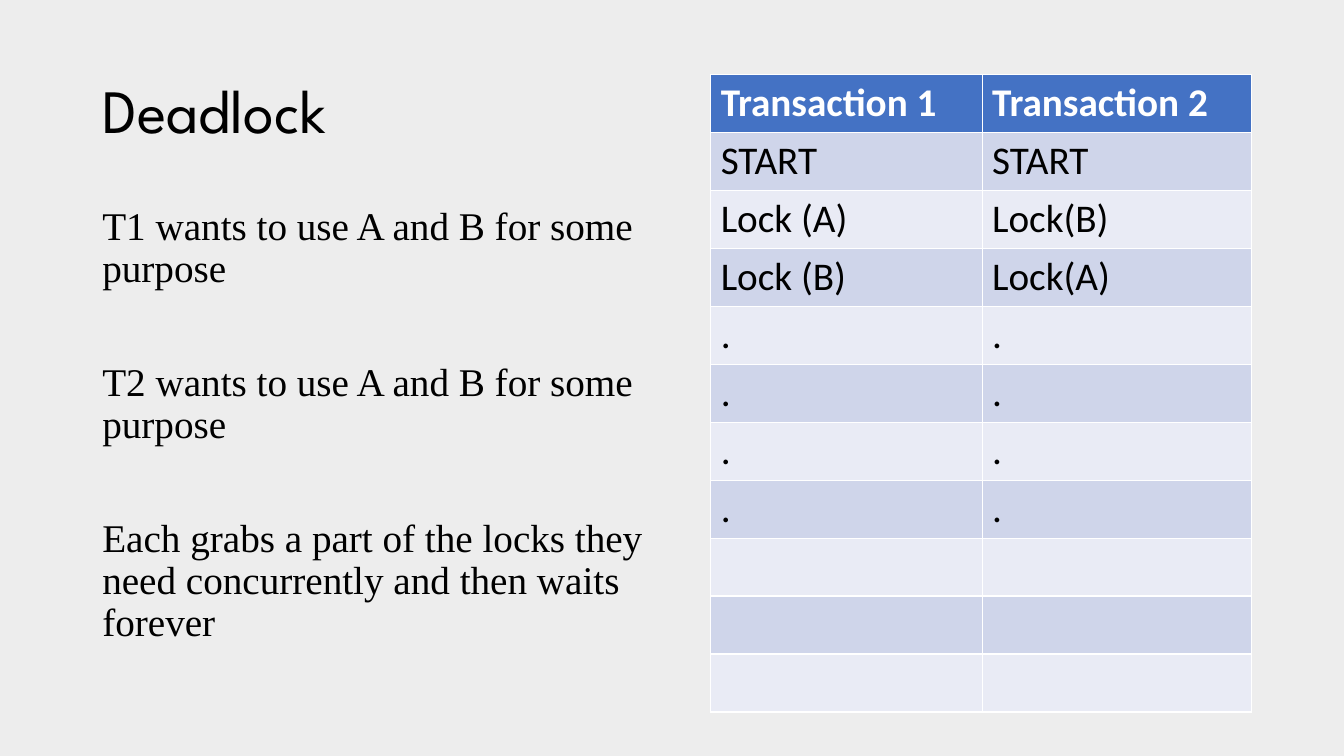
import pptx
import pptx.util
from pptx.dml.color import RGBColor
from pptx.enum.text import MSO_ANCHOR
from pptx.util import Cm, Pt

TITLE = "Deadlock"
NOTES = [
    "T1 wants to use A and B for some purpose",
    "T2 wants to use A and B for some purpose",
    "Each grabs a part of the locks they need concurrently and then waits forever",
]
STEPS = [
    ("Transaction 1", "Transaction 2"),
    ("START", "START"),
    ("Lock (A)", "Lock(B)"),
    ("Lock (B)", "Lock(A)"),
    *[(".", ".")] * 4,
    *[("", "")] * 3,
]
WIDTHS = [Cm(6.84), Cm(6.78)]
ROW = Cm(1.46)

PAPER = RGBColor(0xED, 0xED, 0xED)
BLACK = RGBColor(0, 0, 0)
WHITE = RGBColor(0xFF, 0xFF, 0xFF)
BLUE = RGBColor(0x44, 0x72, 0xC4)
BANDS = [RGBColor(0xE9, 0xEB, 0xF5), RGBColor(0xCF, 0xD5, 0xEA)]


def style(para, face, size, color=BLACK, bold=False):
    for run in para.runs:
        font = run.font
        font.name, font.size, font.bold = face, Pt(size), bold
        font.color.rgb = color


def add_text(slide, box, lines, face, size, anchor, gap=0):
    """Add a wrapped text box with one paragraph per line, gap points apart."""
    frame = slide.shapes.add_textbox(*box).text_frame
    frame.word_wrap = True
    frame.vertical_anchor = anchor
    frame.text = "\n".join(lines)
    for i, para in enumerate(frame.paragraphs):
        para.line_spacing = 0.9
        if i:
            para.space_before = Pt(gap)
        style(para, face, size)


def add_steps(slide):
    shape = slide.shapes.add_table(len(STEPS), len(WIDTHS), Cm(17.91), Cm(1.88),
                                   sum(WIDTHS), ROW * len(STEPS))
    table = shape.table
    for col, width in zip(table.columns, WIDTHS):
        col.width = width
    for r, texts in enumerate(STEPS):
        table.rows[r].height = ROW
        head = r == 0
        for c, text in enumerate(texts):
            cell = table.cell(r, c)
            cell.fill.solid()
            cell.fill.fore_color.rgb = BLUE if head else BANDS[r % 2]
            cell.text_frame.text = text
            style(cell.text_frame.paragraphs[0], "Calibri", 28,
                  WHITE if head else BLACK, head)


def main():
    deck = pptx.Presentation()
    deck.slide_width, deck.slide_height = Cm(33.87), Cm(19.05)
    slide = deck.slides.add_slide(deck.slide_layouts[6])
    slide.background.fill.solid()
    slide.background.fill.fore_color.rgb = PAPER
    add_text(slide, (Cm(2.33), Cm(1.01), Cm(29.21), Cm(3.68)), [TITLE],
             "League Spartan", 44, MSO_ANCHOR.MIDDLE)
    add_text(slide, (Cm(2.33), Cm(5.07), Cm(14.6), Cm(12.09)), NOTES,
             "Times New Roman", 28, MSO_ANCHOR.TOP, gap=51)
    add_steps(slide)
    deck.save("out.pptx")


if __name__ == "__main__":
    main()
